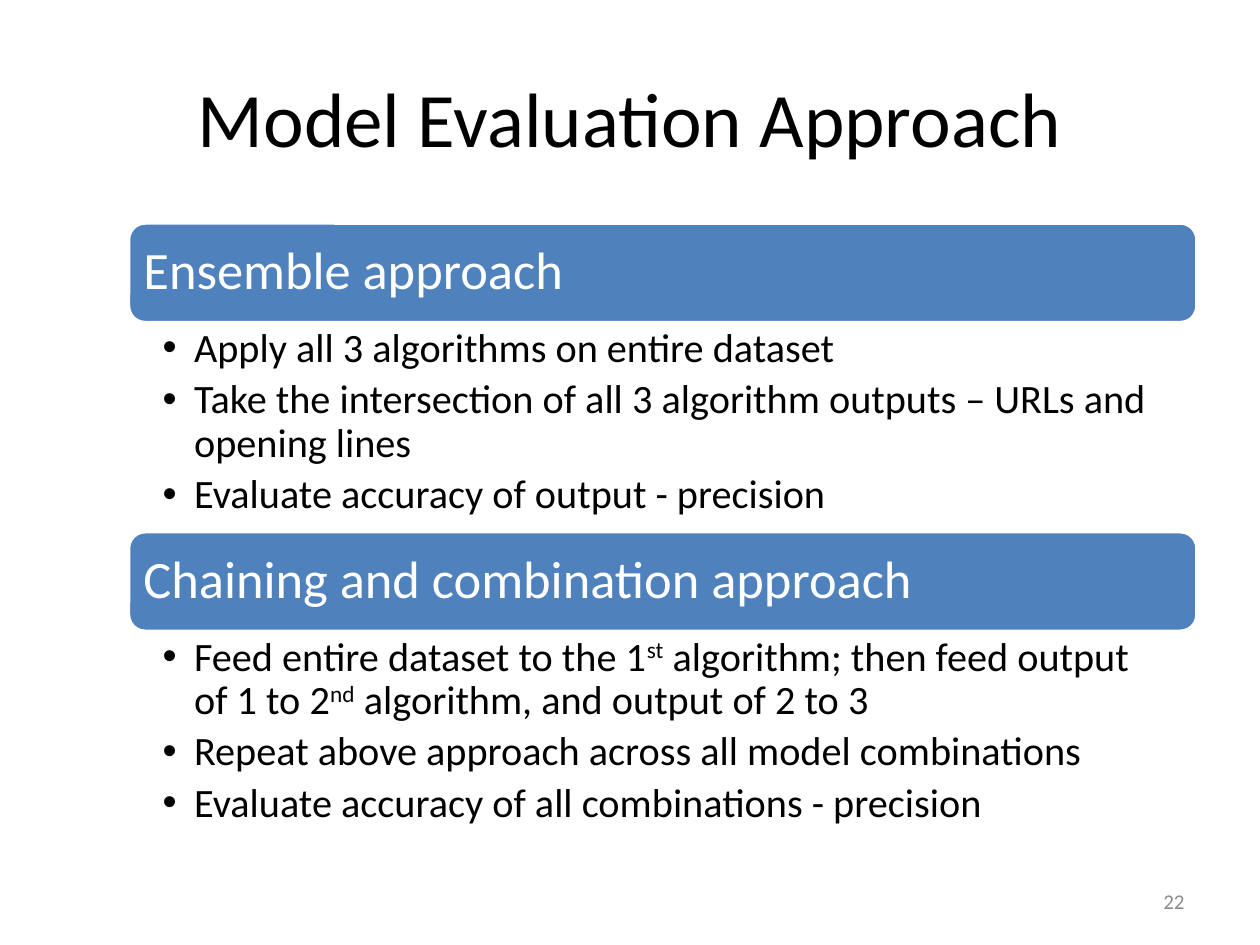
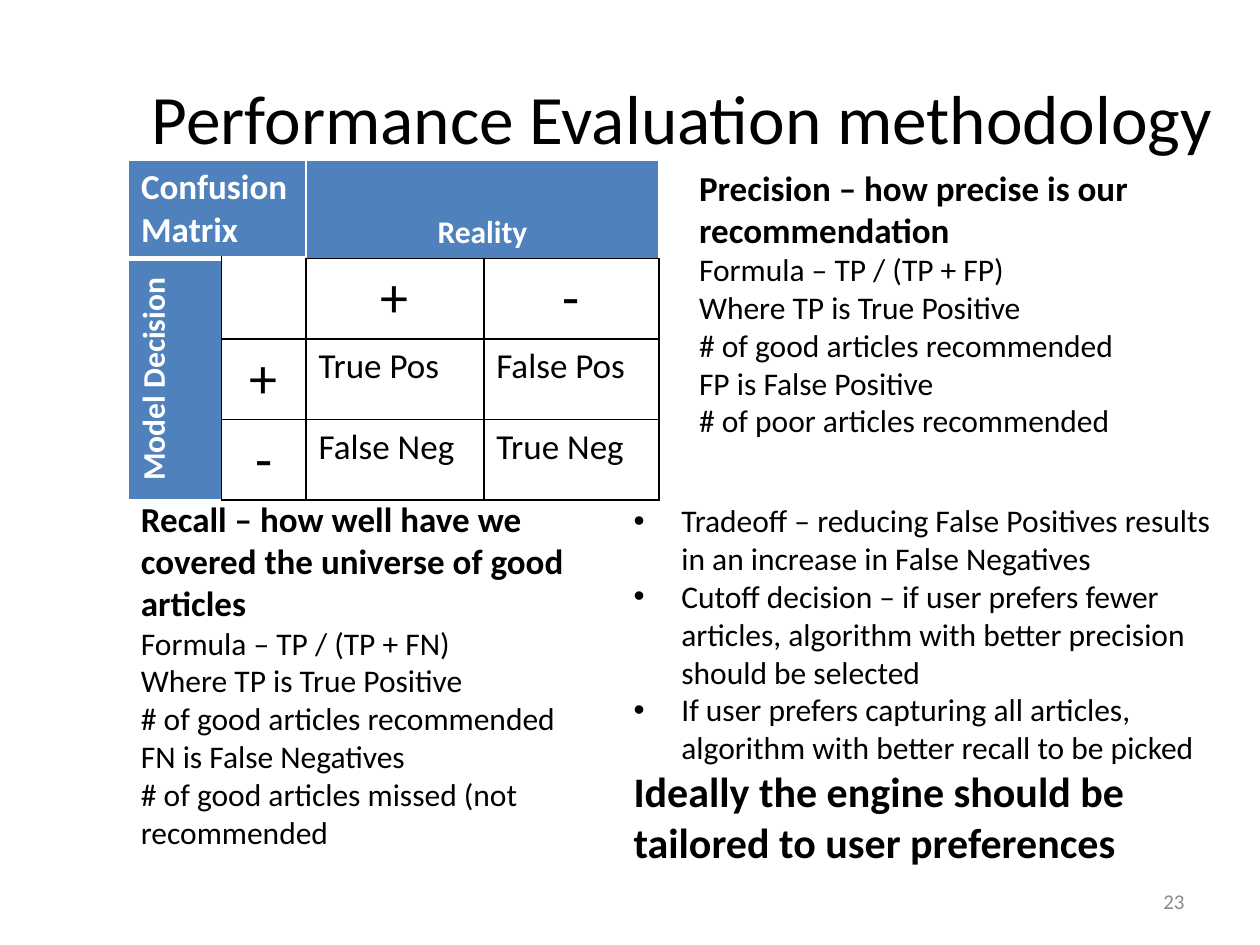
from lxml.etree import SubElement
from pptx import Presentation
from pptx.dml.color import RGBColor
from pptx.enum.shapes import MSO_SHAPE
from pptx.enum.text import MSO_ANCHOR, MSO_AUTO_SIZE, PP_ALIGN
from pptx.oxml.ns import qn
from pptx.util import Pt

PX = 9144
BLUE, BLACK, WHITE, GREY = "4F81BD", "000000", "FFFFFF", "8C8C8C"
FONT = "Calibri"
INSETS = (10, 5, 10, 5)
CENTER = {"alignment": PP_ALIGN.CENTER}
RIGHT = {"alignment": PP_ALIGN.RIGHT}
MIDDLE = MSO_ANCHOR.MIDDLE


def emu(px):
    return round(px * PX)


def color(hex_text):
    return RGBColor.from_string(hex_text)


def style(size, tint=BLACK, bold=False, bullet=0, **para_values):
    font = {"name": FONT, "size": Pt(size), "bold": bold}
    return {"font": font, "tint": tint, "bullet": bullet, "para": para_values}


TITLE = style(44, **CENTER)
LONG_TITLE = style(39.6, **CENTER)
NUMBER = style(12, GREY, **RIGHT)
BAR = style(30, WHITE, line_spacing=0.9, alignment=PP_ALIGN.LEFT)
POINT = style(23, bullet=25, line_spacing=0.9, space_after=Pt(4.6))
HEADING = style(20, bold=True)
BODY = style(18)
TRADEOFF = style(18, bullet=38)
CONCLUSION = style(24, bold=True)
CORNER = style(20, WHITE, True)
AXIS = style(18, WHITE, True, **CENTER)
SIGN = style(32, **CENTER)
OUTCOME = style(20)


def set_values(target, values):
    for name, value in values.items():
        setattr(target, name, value)


def add_bullet(para, indent):
    props = para._p.get_or_add_pPr()
    props.set("marL", str(emu(indent)))
    props.set("indent", str(-emu(indent)))
    SubElement(props, qn("a:buFont")).set("typeface", "Arial")
    SubElement(props, qn("a:buChar")).set("char", "•")


def write(frame, lines):
    for index, (text, look) in enumerate(lines):
        para = frame.add_paragraph() if index else frame.paragraphs[0]
        set_values(para, look["para"])
        if look["bullet"]:
            add_bullet(para, look["bullet"])
        for order, part in enumerate(text.split("^")):
            span = para.add_run()
            span.text = part
            set_values(span.font, look["font"])
            span.font.color.rgb = color(look["tint"])
            if order % 2:
                span._r.get_or_add_rPr().set("baseline", "30000")


def fill_frame(shape, lines, insets, **values):
    frame = shape.text_frame
    sides = ("margin_left", "margin_top", "margin_right", "margin_bottom")
    set_values(frame, dict(zip(sides, map(emu, insets))))
    set_values(frame, {"word_wrap": True, **values})
    write(frame, lines)


def add_text(page, box, lines, insets=INSETS, **values):
    shape = page.shapes.add_textbox(*map(emu, box))
    fill_frame(shape, lines, insets, **values)


def add_page(deck, title, title_box, title_style, number):
    page = deck.slides.add_slide(deck.slide_layouts[6])
    add_text(page, title_box, [(title, title_style)], vertical_anchor=MIDDLE)
    add_text(page, (717, 695, 233, 40), [(str(number), NUMBER)], vertical_anchor=MIDDLE)
    return page


def add_approach(page, box, heading, points):
    left, top, width, height = box
    bar_height = 79
    bar = page.shapes.add_shape(
        MSO_SHAPE.ROUNDED_RECTANGLE, *map(emu, (left, top, width, bar_height)))
    bar.shadow.inherit = False
    bar.fill.solid()
    bar.fill.fore_color.rgb = color(BLUE)
    bar.line.color.rgb = color(WHITE)
    bar.line.width = Pt(2)
    fill_frame(bar, [(heading, BAR)], (8, 8, 8, 8), vertical_anchor=MIDDLE)
    add_text(page, (left, top + bar_height, width, height - bar_height),
             [(point, POINT) for point in points], (27, 4, 23, 4))


def set_borders(cell, borders):
    props = cell._tc.get_or_add_tcPr()
    for side in "LRTB":
        tint, width = borders.get(side, (BLACK, 1))
        line = SubElement(props, qn(f"a:ln{side}"), w=str(Pt(width)))
        fill = SubElement(line, qn("a:solidFill"))
        SubElement(fill, qn("a:srgbClr")).set("val", tint)


def add_confusion_matrix(page, box):
    table = page.shapes.add_table(4, 4, *map(emu, box)).table
    set_values(table, {"first_row": False, "horz_banding": False})
    for column, width in zip(table.columns, (74, 67, 141, 139)):
        column.width = emu(width)
    for row, height in zip(table.rows, (78, 64, 64, 64)):
        row.height = emu(height)
    texts = [
        [("Confusion Matrix", CORNER), None, ("Reality", AXIS), None],
        [("Model Decision", AXIS), None, ("+", SIGN), ("-", SIGN)],
        [None, ("+", SIGN), ("True Pos", OUTCOME), ("False Pos", OUTCOME)],
        [None, ("-", SIGN), ("False Neg", OUTCOME), ("True Neg", OUTCOME)],
    ]
    thin, thick = (WHITE, 1), (WHITE, 3)
    corner_lines = {"L": thin, "T": thin, "R": thin, "B": thick}
    reality_lines = {"L": thin, "T": thin, "R": thin}
    decision_lines = {"L": thin, "T": thin, "B": thin}
    for first, last in (((0, 0), (0, 1)), ((0, 2), (0, 3)), ((1, 0), (3, 0))):
        table.cell(*first).merge(table.cell(*last))
    for row, entries in enumerate(texts):
        for column, entry in enumerate(entries):
            cell = table.cell(row, column)
            if row == 0:
                borders = corner_lines if column < 2 else reality_lines
            else:
                borders = {} if column else decision_lines
            set_borders(cell, borders)
            if row == 0 or column == 0:
                cell.fill.solid()
                cell.fill.fore_color.rgb = color(BLUE)
            else:
                cell.fill.background()
            if entry:
                write(cell.text_frame, [entry])
    table.cell(0, 2).vertical_anchor = MSO_ANCHOR.BOTTOM
    decision = table.cell(1, 0)
    decision.vertical_anchor = MIDDLE
    decision._tc.get_or_add_tcPr().set("vert", "vert270")


def add_measure(page, box, heading, details):
    lines = [(heading, HEADING)] + [(detail, BODY) for detail in details]
    add_text(page, box, lines, auto_size=MSO_AUTO_SIZE.SHAPE_TO_FIT_TEXT)


def add_tradeoffs(page, box, points, conclusion):
    lines = [(point, TRADEOFF) for point in points] + [(conclusion, CONCLUSION)]
    add_text(page, box, lines, auto_size=MSO_AUTO_SIZE.SHAPE_TO_FIT_TEXT)


def build_approach_page(deck):
    page = add_page(deck, "Model Evaluation Approach", (50, 30, 900, 125), TITLE, 22)
    approaches = {
        "Ensemble approach": [
            "Apply all 3 algorithms on entire dataset",
            "Take the intersection of all 3 algorithm outputs – URLs and opening lines",
            "Evaluate accuracy of output - precision"],
        "Chaining and combination approach": [
            "Feed entire dataset to the 1^st^ algorithm; then feed output "
            "of 1 to 2^nd^ algorithm, and output of 2 to 3",
            "Repeat above approach across all model combinations",
            "Evaluate accuracy of all combinations - precision"],
    }
    height = 245
    for index, (heading, points) in enumerate(approaches.items()):
        add_approach(page, (102, 177 + index * height, 848, height), heading, points)


def build_performance_page(deck):
    page = add_page(deck, "Performance Evaluation methodology",
                    (102, 30, 879, 125), LONG_TITLE, 23)
    add_confusion_matrix(page, (102, 127, 421, 270))
    shared = ["Where TP is True Positive", "# of good articles recommended"]
    add_measure(page, (545, 127, 436, 229),
                "Precision – how precise is our recommendation",
                ["Formula – TP / (TP + FP)", *shared, "FP is False Positive",
                 "# of poor articles recommended"])
    add_measure(page, (102, 390, 398, 293),
                "Recall – how well have we covered the universe of good articles",
                ["Formula – TP / (TP + FN)", *shared, "FN is False Negatives",
                 "# of good articles missed (not recommended"])
    add_tradeoffs(page, (493, 393, 500, 303), [
        "Tradeoff – reducing False Positives results in an increase in False Negatives",
        "Cutoff decision – if user prefers fewer articles, algorithm with better "
        "precision should be selected",
        "If user prefers capturing all articles, algorithm with better recall to be picked",
    ], "Ideally the engine should be tailored to user preferences")


def main():
    deck = Presentation()
    set_values(deck, {"slide_width": emu(1000), "slide_height": emu(750)})
    build_approach_page(deck)
    build_performance_page(deck)
    deck.save("out.pptx")


if __name__ == "__main__":
    main()
